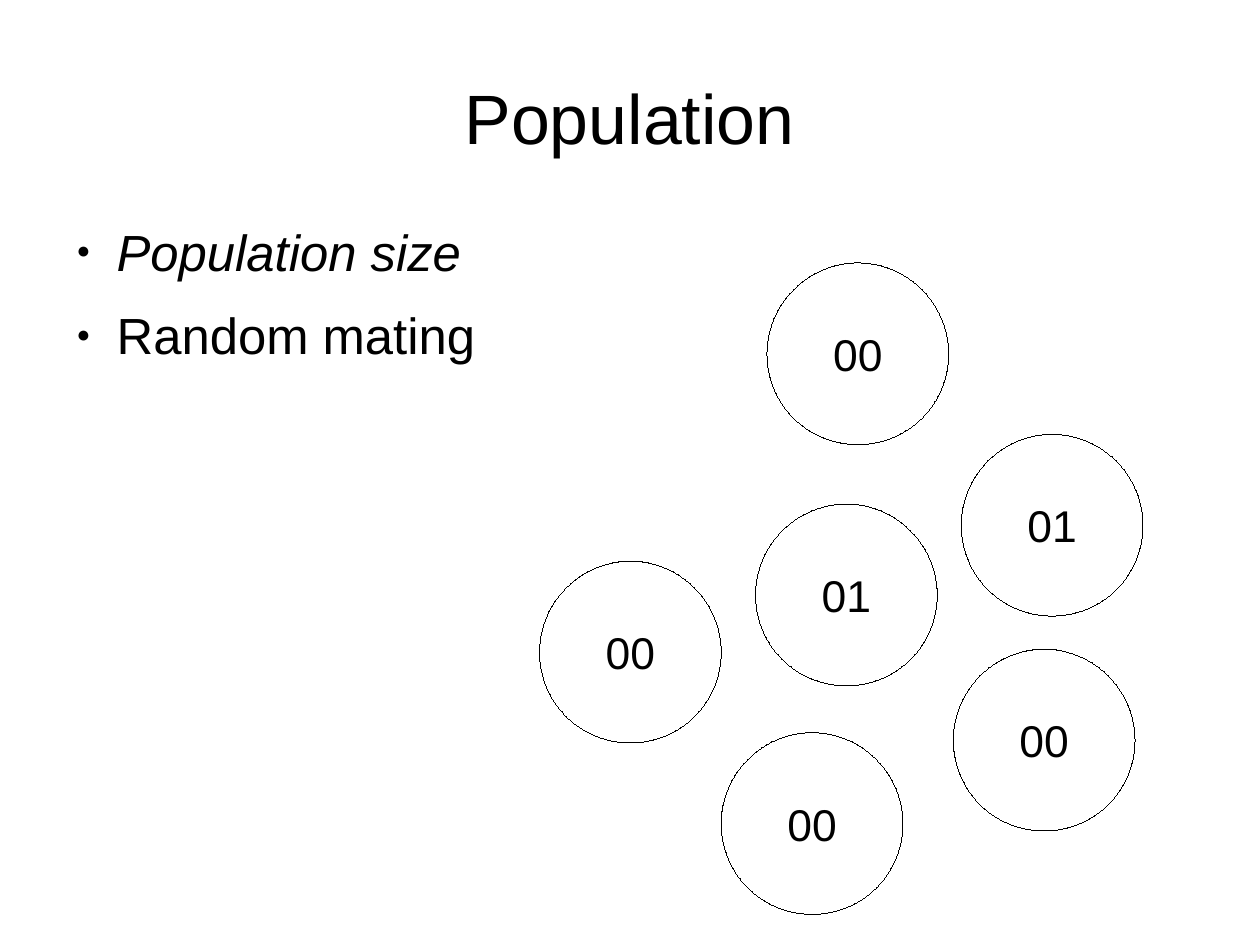
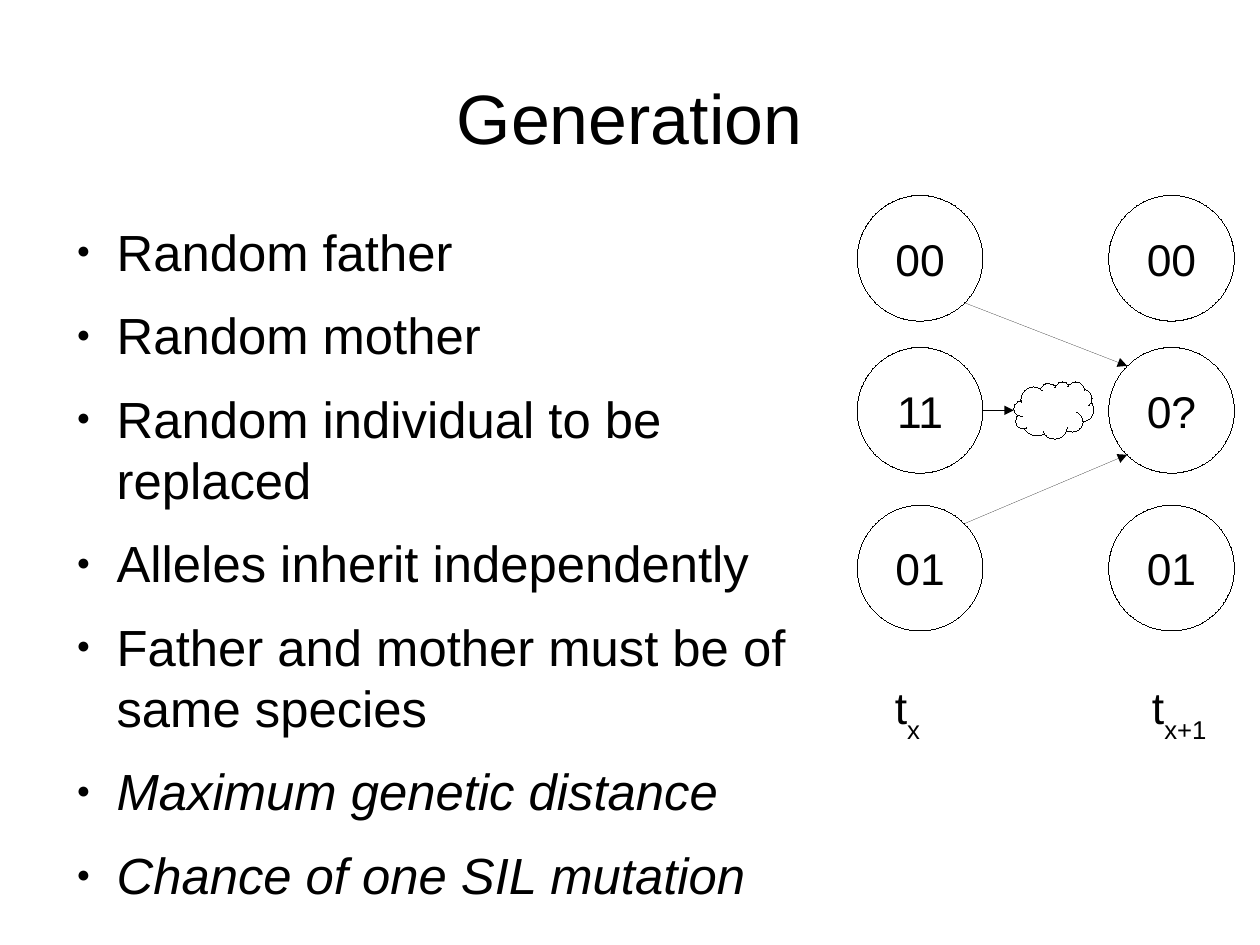
from dataclasses import dataclass
from math import sqrt
from typing import Any

from lxml import etree
from pptx import Presentation
from pptx.dml.color import RGBColor
from pptx.enum.shapes import MSO_CONNECTOR, MSO_SHAPE
from pptx.enum.text import MSO_ANCHOR, MSO_AUTO_SIZE, PP_ALIGN
from pptx.oxml.ns import qn
from pptx.util import Inches, Pt

STRAIGHT = MSO_CONNECTOR.STRAIGHT
ELLIPSE, CLOUD = MSO_SHAPE.OVAL, MSO_SHAPE.CLOUD
MIDDLE, TOP = MSO_ANCHOR.MIDDLE, MSO_ANCHOR.TOP
NO_FIT, GROW = MSO_AUTO_SIZE.NONE, MSO_AUTO_SIZE.SHAPE_TO_FIT_TEXT
CENTER, LEFT = PP_ALIGN.CENTER, PP_ALIGN.LEFT
TITLE_AND_BODY = 1
CM_PER_INCH = 2.54


@dataclass(frozen=True)
class Theme:
    ink: RGBColor = RGBColor(0, 0, 0)
    paper: RGBColor = RGBColor(255, 255, 255)
    font: str = "Arial"
    title: int = 44
    body: int = 32
    label: int = 28


@dataclass(frozen=True)
class Bullet:
    text: str
    italic: bool = False


@dataclass(frozen=True)
class Individual:
    """A circle with its genotype."""
    left: float
    top: float
    size: float
    genotype: str

    def point(self, side_x: int, side_y: int) -> tuple[float, float]:
        """Point on the outline in the direction given by two signs."""
        radius = self.size / 2
        reach = radius / sqrt(side_x ** 2 + side_y ** 2)
        return (self.left + radius + side_x * reach,
                self.top + radius + side_y * reach)


@dataclass(frozen=True)
class TimeLabel:
    left: float
    width: float
    subscript: str


THEME = Theme()
NO_MARGINS = {f"margin_{side}": 0 for side in ("left", "top", "right", "bottom")}
TITLE_FRAME = {**NO_MARGINS, "vertical_anchor": MIDDLE, "word_wrap": True, "auto_size": NO_FIT}
BODY_FRAME = {**TITLE_FRAME, "vertical_anchor": TOP}
LABEL_FRAME = {"vertical_anchor": MIDDLE, "word_wrap": True}
TIME_FRAME = {"word_wrap": False, "auto_size": GROW}
BODY_PARA = {"alignment": LEFT, "space_before": Pt(14.2), "space_after": Pt(0)}


# Shared formatting
def apply(target: Any, formats: dict[str, Any]) -> None:
    for name, value in formats.items():
        setattr(target, name, value)


def place(box: Any, left: float, top: float, width: float, height: float) -> None:
    apply(box, {"left": Inches(left), "top": Inches(top),
                "width": Inches(width), "height": Inches(height)})


def add_span(para: Any, text: str, size: int, italic: bool = False) -> Any:
    span = para.add_run()
    span.text = text
    apply(span.font, {"name": THEME.font, "size": Pt(size), "italic": italic, "bold": False})
    span.font.color.rgb = THEME.ink
    return span


def style_hairline(line: Any) -> Any:
    """Colour the line; a zero width is only kept when written as XML."""
    line.color.rgb = THEME.ink
    outline = line._get_or_add_ln()
    outline.set("w", "0")
    return outline


def add_bullet_mark(para: Any) -> None:
    properties = para._p.get_or_add_pPr()
    properties.set("marL", str(Inches(0.47)))
    properties.set("indent", str(Inches(-0.35)))
    color = etree.SubElement(properties, qn("a:buClr"))
    etree.SubElement(color, qn("a:srgbClr"), val=str(THEME.ink))
    etree.SubElement(properties, qn("a:buSzPct"), val="45000")
    etree.SubElement(properties, qn("a:buFont"), typeface=THEME.font)
    etree.SubElement(properties, qn("a:buChar"), char="●")


# Slide parts
def add_page(deck: Any, title: str, bullets: list[Bullet], width: float, height: float) -> Any:
    page = deck.slides.add_slide(deck.slide_layouts[TITLE_AND_BODY])
    heading, body = page.shapes.title, page.placeholders[1]
    place(heading, 0.55, 0.33, 9.92, 1.38)
    apply(heading.text_frame, TITLE_FRAME)
    para = heading.text_frame.paragraphs[0]
    para.alignment = CENTER
    add_span(para, title, THEME.title)

    place(body, 0.55, 1.93, width, height)
    frame = body.text_frame
    apply(frame, BODY_FRAME)
    for index, bullet in enumerate(bullets):
        para = frame.add_paragraph() if index else frame.paragraphs[0]
        apply(para, BODY_PARA)
        add_bullet_mark(para)
        add_span(para, bullet.text, THEME.body, bullet.italic)
    return page


def add_outline(page: Any, kind: Any, left: float, top: float, width: float, height: float) -> Any:
    shape = page.shapes.add_shape(kind, *map(Inches, (left, top, width, height)))
    shape.shadow.inherit = False
    shape.fill.solid()
    shape.fill.fore_color.rgb = THEME.paper
    style_hairline(shape.line)
    return shape


def add_individual(page: Any, person: Individual) -> None:
    circle = add_outline(page, ELLIPSE, person.left, person.top, person.size, person.size)
    apply(circle.text_frame, LABEL_FRAME)
    para = circle.text_frame.paragraphs[0]
    para.alignment = CENTER
    add_span(para, person.genotype, THEME.label)


def add_arrow(page: Any, start: tuple[float, float], end: tuple[float, float]) -> None:
    arrow = page.shapes.add_connector(STRAIGHT, *map(Inches, (*start, *end)))
    outline = style_hairline(arrow.line)
    etree.SubElement(outline, qn("a:tailEnd"), type="triangle")
    etree.SubElement(arrow._element.spPr, qn("a:effectLst"))


def add_time_label(page: Any, label: TimeLabel) -> None:
    box = page.shapes.add_textbox(*map(Inches, (label.left, 5.9, label.width, 0.63)))
    apply(box.text_frame, TIME_FRAME)
    para = box.text_frame.paragraphs[0]
    add_span(para, "t", THEME.label)
    span = add_span(para, label.subscript, THEME.label)
    span._r.get_or_add_rPr().set("baseline", "-33000")


# Slides
def build_population(deck: Any) -> None:
    bullets = [Bullet("Population size", True), Bullet("Random mating")]
    page = add_page(deck, "Population", bullets, 6.15, 4.79)
    for left, top, genotype in (
        (8.41, 3.8, "01"), (4.72, 4.91, "00"), (6.31, 6.41, "00"),
        (8.34, 5.68, "00"), (6.61, 4.41, "01"), (6.71, 2.3, "00"),
    ):
        add_individual(page, Individual(left, top, 1.59, genotype))


def build_generation(deck: Any) -> None:
    bullets = [
        Bullet("Random father"),
        Bullet("Random mother"),
        Bullet("Random individual to be replaced"),
        Bullet("Alleles inherit independently"),
        Bullet("Father and mother must be of same species"),
        Bullet("Maximum genetic distance", True),
        Bullet("Chance of one SIL mutation", True),
    ]
    page = add_page(deck, "Generation", bullets, 6.35, 6.07)

    # Individuals before and after one generation
    rows = (1.71, 3.04, 4.42)
    before, after = (
        [Individual(left, top, 1.1, genotype) for top, genotype in zip(rows, genotypes)]
        for left, genotypes in ((7.5, ("00", "11", "01")), (9.7, ("00", "0?", "01")))
    )
    for person in before + after:
        add_individual(page, person)

    # Inheritance from both parents, and the one that is replaced
    father, replaced, mother = before
    child = after[1]
    add_arrow(page, father.point(1, 1), child.point(-1, -1))
    add_arrow(page, mother.point(1, -1), child.point(-1, 1))
    add_outline(page, CLOUD, 8.87, 3.34, 0.7, 0.5)
    add_arrow(page, replaced.point(1, 0), (8.87, 3.59))

    for label in (TimeLabel(7.73, 0.42, "x"), TimeLabel(9.98, 0.68, "x+1")):
        add_time_label(page, label)


def main() -> None:
    deck = Presentation()
    deck.slide_width = Inches(28 / CM_PER_INCH)
    deck.slide_height = Inches(21 / CM_PER_INCH)
    build_population(deck)
    build_generation(deck)
    deck.save("out.pptx")


if __name__ == "__main__":
    main()
